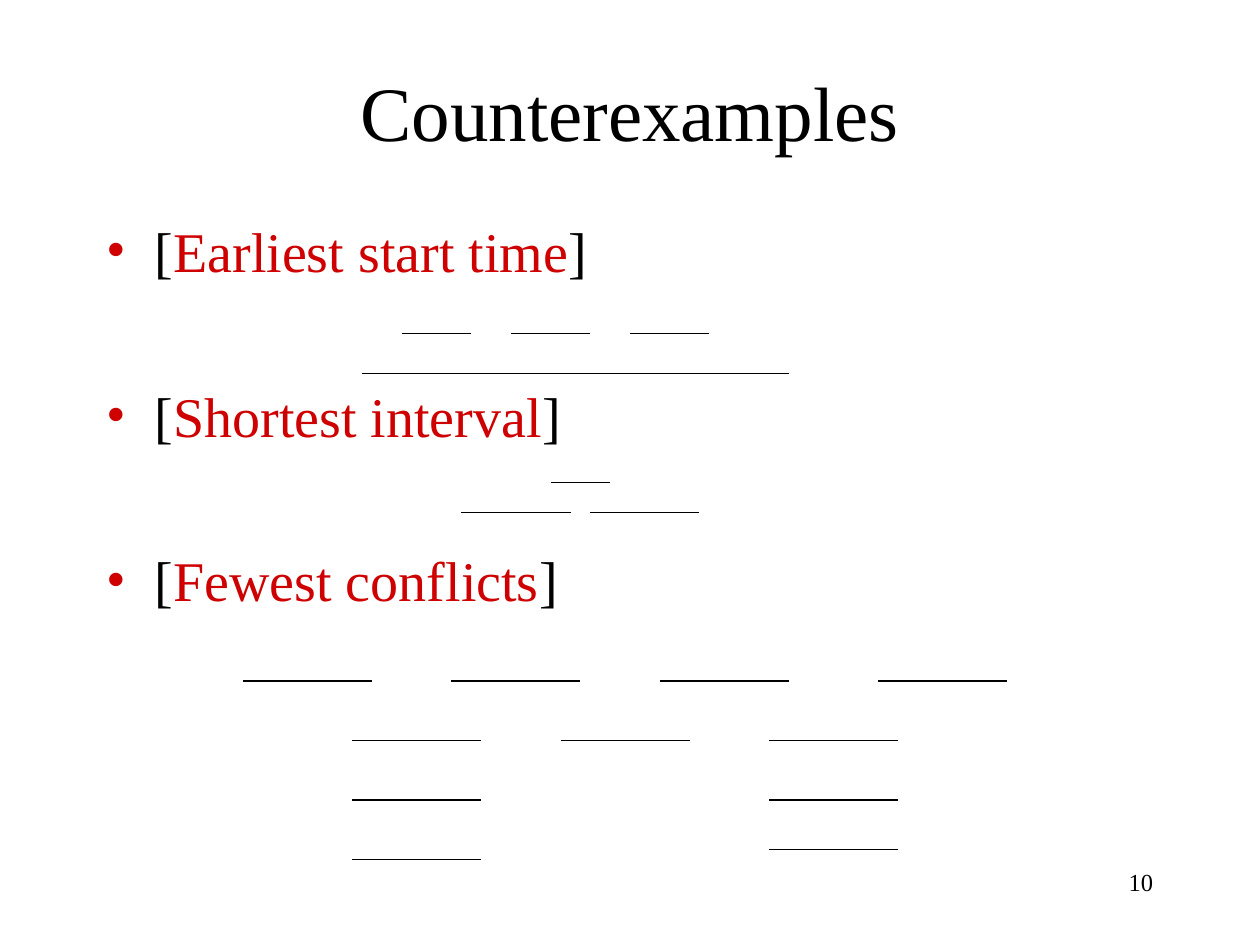
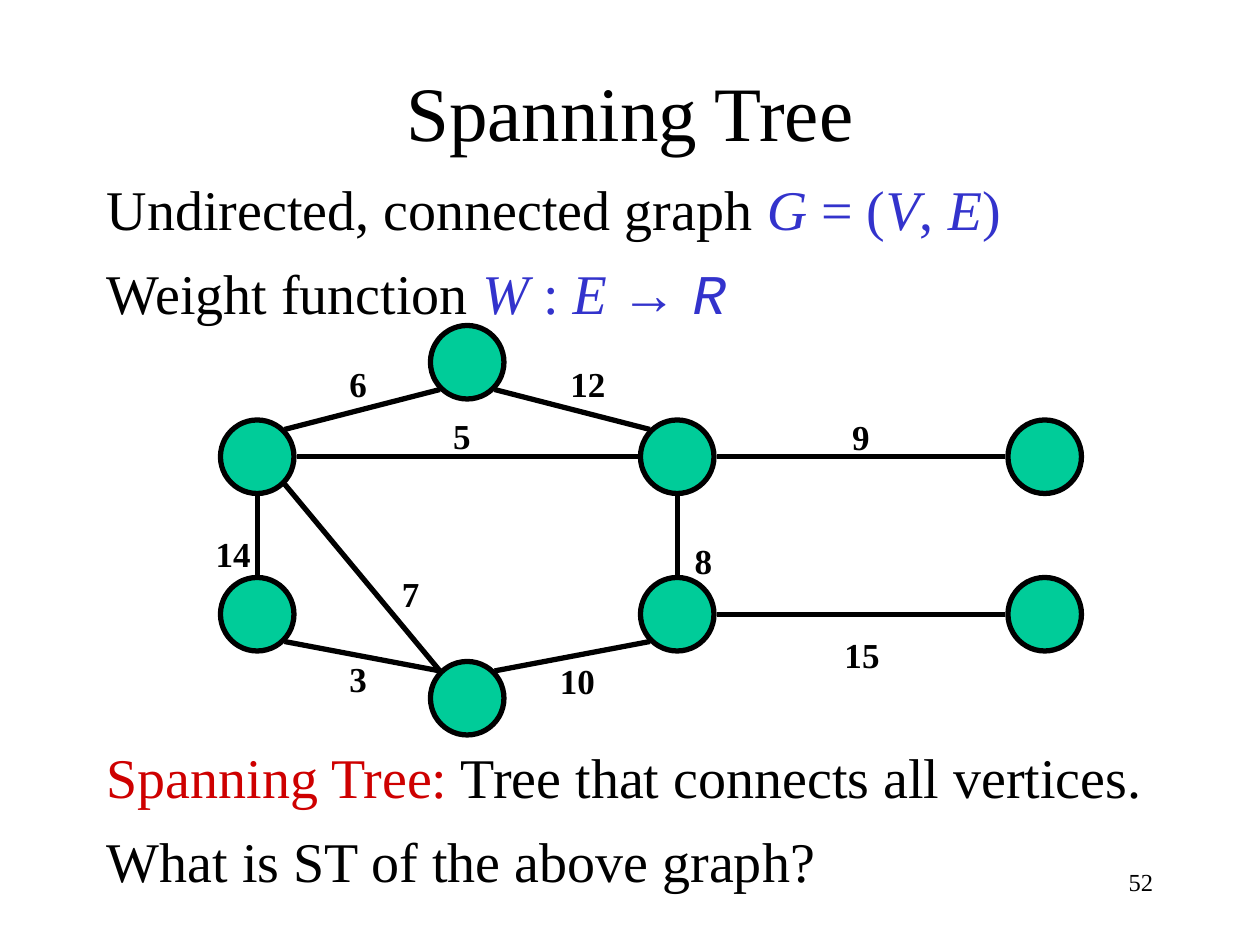
import pptx
import pptx.dml.color
import pptx.enum.shapes
import pptx.enum.text
import pptx.util
import lxml.etree

BLACK = pptx.dml.color.RGBColor(0x00, 0x00, 0x00)
RED = pptx.dml.color.RGBColor(0xCE, 0x00, 0x00)
BLUE = pptx.dml.color.RGBColor(0x33, 0x33, 0xCC)
GREEN = pptx.dml.color.RGBColor(0x00, 0xCC, 0x99)
SERIF = "Times New Roman"
ALIGN = pptx.enum.text.PP_ALIGN
ANCHOR = pptx.enum.text.MSO_ANCHOR
A = "http://schemas.openxmlformats.org/drawingml/2006/main"

prs = pptx.Presentation()
prs.slide_width = pptx.util.Inches(10)
prs.slide_height = pptx.util.Inches(7.5)
U = prs.slide_width / 120


def add_text(s, box, paragraphs, size, align=ALIGN.LEFT, gap=0, anchor=ANCHOR.TOP):
    sp = s.shapes.add_textbox(*[round(v * U) for v in box])
    tf = sp.text_frame
    tf.word_wrap = True
    tf.vertical_anchor = anchor
    for i, runs in enumerate(paragraphs):
        p = tf.add_paragraph() if i else tf.paragraphs[0]
        p.alignment = align
        p.space_before = pptx.util.Pt(gap if i else 0)
        for text, color, font, italic in runs:
            r = p.add_run()
            r.text = text
            r.font.name = font
            r.font.size = pptx.util.Pt(size)
            r.font.color.rgb = color
            r.font.italic = italic
    return tf


def add_line(s, x1, y1, x2, y2, width):
    ends = [round(v) for v in (x1, y1, x2, y2)]
    c = s.shapes.add_connector(pptx.enum.shapes.MSO_CONNECTOR.STRAIGHT, *ends)
    c.line.color.rgb = BLACK
    c.line.width = pptx.util.Pt(width)
    lxml.etree.SubElement(c._element.spPr, f"{{{A}}}effectLst")


slides = []
for title, number in [("Counterexamples", "10"), ("Spanning Tree", "52")]:
    s = prs.slides.add_slide(prs.slide_layouts[6])
    add_text(s, (86, 82, 25, 6), [[(number, BLACK, SERIF, False)]], 14, ALIGN.RIGHT)
    add_text(s, (9, 3, 102, 15), [[(title, BLACK, SERIF, False)]], 44,
             ALIGN.CENTER, anchor=ANCHOR.MIDDLE)
    slides.append(s)

s = slides[0]
rules = ["Earliest start time", "Shortest interval", "Fewest conflicts"]
tf = add_text(s, (9, 20, 102, 60),
              [[("[", BLACK, SERIF, False), (rule, RED, SERIF, False),
                ("]", BLACK, SERIF, False)] for rule in rules], 32, gap=55.8)
for p in tf.paragraphs:
    pPr = p._p.get_or_add_pPr()
    pPr.set("marL", str(pptx.util.Inches(0.38)))
    pPr.set("indent", str(-pptx.util.Inches(0.38)))
    clr = lxml.etree.SubElement(pPr, f"{{{A}}}buClr")
    lxml.etree.SubElement(clr, f"{{{A}}}srgbClr", val=str(RED))
    lxml.etree.SubElement(pPr, f"{{{A}}}buFont", typeface=SERIF)
    lxml.etree.SubElement(pPr, f"{{{A}}}buChar", char="•")

CELL = pptx.util.Mm(2)
LEFT = pptx.util.Inches(0.04)
TOP = pptx.util.Inches(0.05)
intervals = [
    (37, [(36, 43)]),
    (33, [(40, 7), (51, 8), (63, 8)]),
    (48, [(55, 6)]),
    (51, [(46, 11), (59, 11)]),
    (68, [(24, 13), (45, 13), (66, 13), (88, 13)]),
    (74, [(35, 13), (56, 13), (77, 13)]),
    (80, [(35, 13), (77, 13)]),
    (85, [(77, 13)]),
    (86, [(35, 13)]),
]
for row, spans in intervals:
    y = TOP + row * CELL
    for start, length in spans:
        x = LEFT + start * CELL
        add_line(s, x, y, x + length * CELL, y, 0.75)

s = slides[1]
add_text(s, (9, 16, 102, 16), [
    [("Undirected, connected graph ", BLACK, SERIF, False), ("G", BLUE, SERIF, True),
     (" = (", BLUE, SERIF, False), ("V", BLUE, SERIF, True),
     (", ", BLUE, SERIF, False), ("E", BLUE, SERIF, True), (")", BLUE, SERIF, False)],
    [("Weight function ", BLACK, SERIF, False), ("W", BLUE, SERIF, True),
     (" : ", BLUE, SERIF, False), ("E ", BLUE, SERIF, True),
     ("→ ", BLUE, "Arial", False), ("R", BLUE, "Courier New", True)],
], 32, gap=9.5)
add_text(s, (9, 70.1, 102, 16), [
    [("Spanning Tree:", RED, SERIF, False),
     (" Tree that connects all vertices.", BLACK, SERIF, False)],
    [("What is ST of the above graph?", BLACK, SERIF, False)],
], 32, gap=9.5)

RADIUS = 3.5
vertices = {
    "a": (24.5, 43.5), "b": (64.5, 43.5), "c": (99.5, 43.5),
    "d": (24.5, 58.5), "e": (64.5, 58.5), "f": (99.5, 58.5),
    "top": (44.5, 34.5), "bottom": (44.5, 66.5),
}
for x, y in vertices.values():
    sp = s.shapes.add_shape(pptx.enum.shapes.MSO_SHAPE.OVAL, round((x - RADIUS) * U),
                            round((y - RADIUS) * U), round(2 * RADIUS * U),
                            round(2 * RADIUS * U))
    sp.shadow.inherit = False
    sp.fill.solid()
    sp.fill.fore_color.rgb = GREEN
    sp.line.color.rgb = BLACK
    sp.line.width = pptx.util.Pt(3)

edges = [
    ("top", "b", 1, 1, "12", 56, 36.6),
    ("a", "top", 1, -1, "6", 34.1, 36.6),
    ("a", "b", 1, 0, "5", 44, 41.5),
    ("a", "d", 0, 1, "14", 22.2, 52.8),
    ("d", "bottom", 1, 1, "3", 34.1, 64.7),
    ("bottom", "e", 1, -1, "10", 55, 64.9),
    ("b", "e", 0, 1, "8", 67, 53.4),
    ("b", "c", 1, 0, "9", 82, 41.6),
    ("e", "f", 1, 0, "15", 82.1, 62.4),
    ("a", "bottom", 1, 1, "7", 39.1, 56.6),
]
for start, end, dx, dy, weight, x, y in edges:
    reach = 2.6 if dx and dy else 3.75
    # The far end meets its vertex on the opposite side.
    x1, y1 = vertices[start]
    x2, y2 = vertices[end]
    flip = -1
    add_line(s, (x1 + dx * reach) * U, (y1 + dy * reach) * U,
             (x2 + flip * dx * reach) * U, (y2 + flip * dy * reach) * U, 3)
    width = 2.4 + 1.7 * len(weight)
    tf = add_text(s, (x - width / 2, y - 2.65, width, 5.3),
                  [[(weight, BLACK, SERIF, False)]], 20, ALIGN.CENTER)
    tf.word_wrap = False
    tf.paragraphs[0].runs[0].font.bold = True

prs.save("out.pptx")
